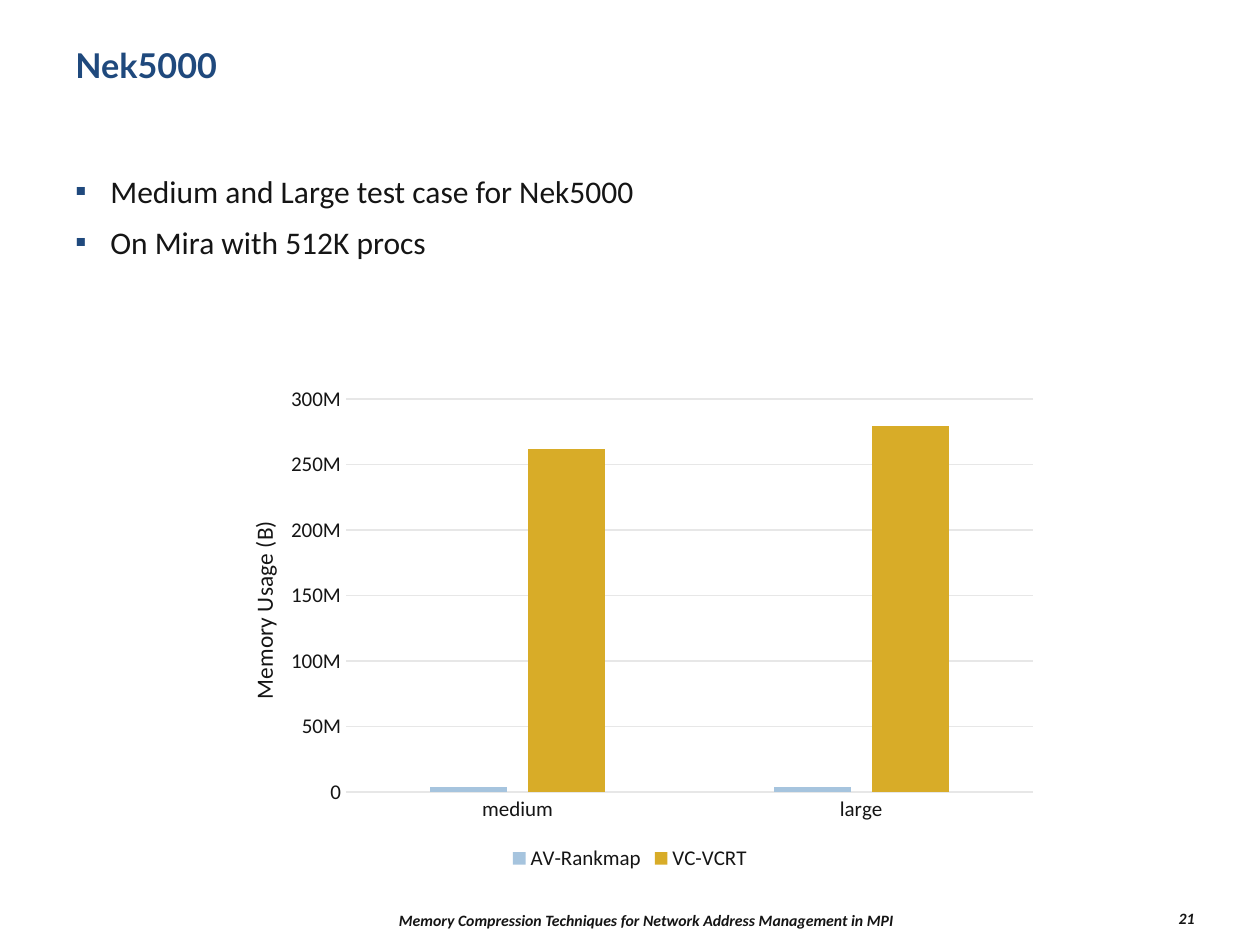
"""Build the Nek5000 memory usage slide."""
from lxml import etree
from pptx import Presentation
from pptx.chart.data import CategoryChartData
from pptx.dml.color import RGBColor
from pptx.enum.chart import XL_CHART_TYPE, XL_LEGEND_POSITION, XL_TICK_MARK
from pptx.enum.text import MSO_ANCHOR, PP_ALIGN
from pptx.oxml import parse_xml
from pptx.oxml.ns import nsdecls, qn
from pptx.util import Pt

COLUMNS = XL_CHART_TYPE.COLUMN_CLUSTERED
BOTTOM = XL_LEGEND_POSITION.BOTTOM
NO_TICK = XL_TICK_MARK.NONE
TOP, MIDDLE = MSO_ANCHOR.TOP, MSO_ANCHOR.MIDDLE
LEFT, CENTER, RIGHT = PP_ALIGN.LEFT, PP_ALIGN.CENTER, PP_ALIGN.RIGHT
PX = 914400 / 126
INK, NAVY, GRID = "151515", "1F497D", "E7E7E7"
color = RGBColor.from_string


def style(font, size, ink=INK, face="Calibri", bold=False, italic=False):
    font.name, font.size = face, Pt(size)
    font.bold, font.italic = bold, italic
    font.color.rgb = color(ink)


def set_layout(parent, index, body):
    for old in parent.findall(qn("c:layout")):
        parent.remove(old)
    parent.insert(index, parse_xml(
        f'<c:layout {nsdecls("c")}><c:manualLayout>{body}</c:manualLayout></c:layout>'))


prs = Presentation()
prs.slide_width, prs.slide_height = round(1260 * PX), round(945 * PX)
slide = prs.slides.add_slide(prs.slide_layouts[6])

bullets = ["Medium and Large test case for Nek5000", "On Mira with 512K procs"]
footer = "Memory Compression Techniques for Network Address Management in MPI"
note = dict(size=9, bold=True, italic=True)
texts = [
    ("Nek5000", (63, 38, 1134, 110), TOP, LEFT,
     dict(size=19.5, ink=NAVY, face="Lato", bold=True)),
    ("\n".join(bullets), (63, 158, 1134, 122), TOP, LEFT, dict(size=18)),
    (footer, (273, 903, 746, 34), MIDDLE, CENTER, note),
    ("21", (1071, 901, 136, 34), MIDDLE, RIGHT, note),
]
for wording, bounds, anchor, align, look in texts:
    frame = slide.shapes.add_textbox(*(round(n * PX) for n in bounds)).text_frame
    frame.word_wrap = True
    frame.vertical_anchor = anchor
    frame.text = wording
    for number, paragraph in enumerate(frame.paragraphs):
        paragraph.alignment = align
        if paragraph.text in bullets:
            paragraph.line_spacing = 1.2
            if number:
                paragraph.space_before = Pt(3.6)
            props = paragraph._p.get_or_add_pPr()
            props.set("marL", str(round(35 * PX)))
            props.set("indent", str(round(-35 * PX)))
            bullet_color = etree.SubElement(props, qn("a:buClr"))
            etree.SubElement(bullet_color, qn("a:srgbClr"), val=NAVY)
            etree.SubElement(props, qn("a:buFont"), typeface="Calibri")
            etree.SubElement(props, qn("a:buChar"), char="▪")
        for run in paragraph.runs:
            style(run.font, **look)

usage = CategoryChartData()
usage.categories = ["medium", "large"]
usage.add_series("AV-Rankmap", (4000000, 4000000))
usage.add_series("VC-VCRT", (262000000, 279000000))
chart_bounds = (210, 377, 840, 499)
chart = slide.shapes.add_chart(
    COLUMNS, *(round(n * PX) for n in chart_bounds), usage).chart
style(chart.font, 10)
chart.has_title = False
chart.has_legend = True
chart.legend.position = BOTTOM
chart.legend.include_in_layout = False
style(chart.legend.font, 12)

columns = chart.plots[0]
columns.vary_by_categories = False
columns.gap_width, columns.overlap = 219, -27
for series, fill in zip(columns.series, ("A6C4DE", "D8AC28")):
    series.format.fill.solid()
    series.format.fill.fore_color.rgb = color(fill)

cases, memory = chart.category_axis, chart.value_axis
for axis in (cases, memory):
    axis.major_tick_mark = axis.minor_tick_mark = NO_TICK
    style(axis.tick_labels.font, 12)
memory.has_major_gridlines = True
for line in (cases.format.line, memory.major_gridlines.format.line):
    line.color.rgb = color(GRID)
    line.width = Pt(0.75)
memory.format.line.fill.background()
memory.minimum_scale, memory.maximum_scale, memory.major_unit = 0, 300000000, 50000000
memory.tick_labels.number_format = '[>=1048576]#0,,"M";[>=1024]#0,"K";0'
memory.tick_labels.number_format_is_linked = False
memory_title = memory.axis_title
memory_title.text_frame.text = "Memory Usage (B)"
style(memory_title.text_frame.paragraphs[0].runs[0].font, 13.3)

set_layout(memory_title._element, 1,
           '<c:xMode val="edge"/><c:yMode val="edge"/>'
           '<c:x val="0.04"/><c:y val="0.28"/>')
set_layout(chart._chartSpace.chart.plotArea, 0,
           '<c:layoutTarget val="inner"/><c:xMode val="edge"/><c:yMode val="edge"/>'
           f'<c:x val="{136 / 840:.4f}"/><c:y val="{22 / 499:.4f}"/>'
           f'<c:w val="{687 / 840:.4f}"/><c:h val="{393 / 499:.4f}"/>')

prs.save("out.pptx")
